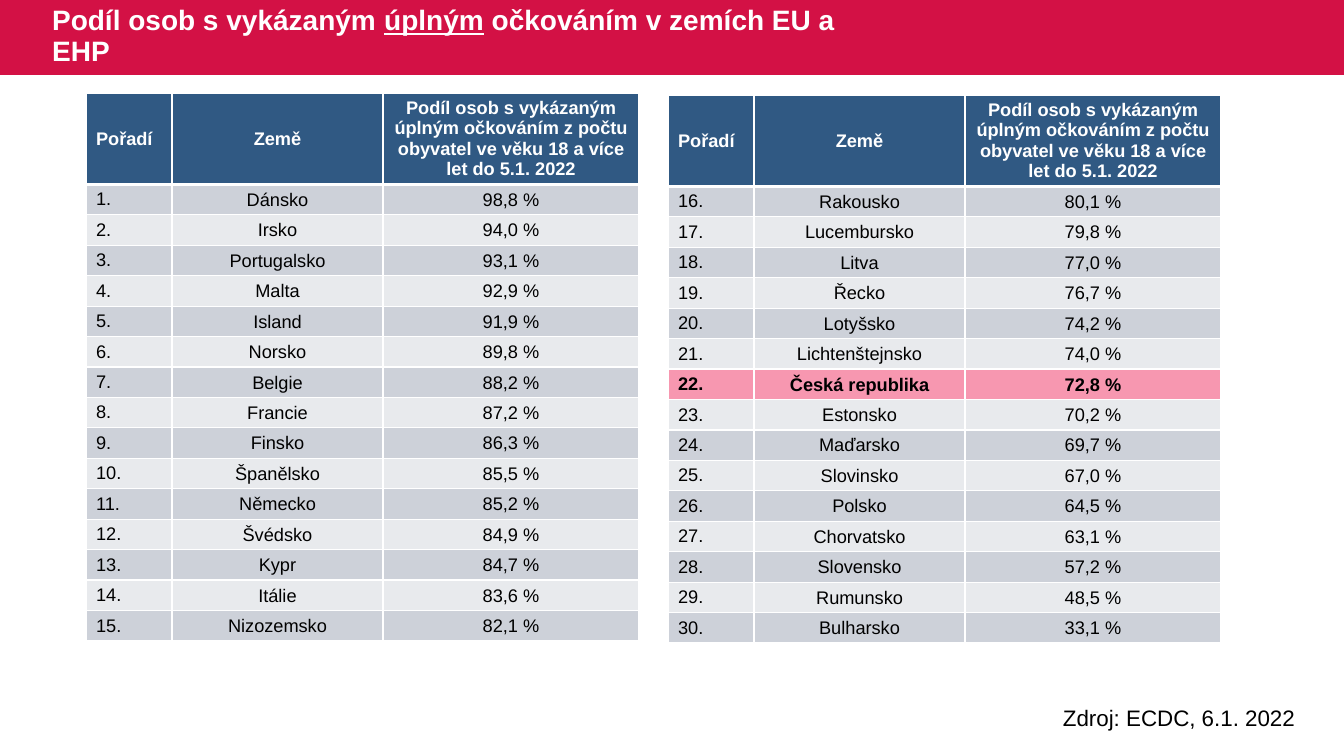
from lxml import etree
from pptx import Presentation
from pptx.dml.color import RGBColor
from pptx.enum.shapes import MSO_SHAPE
from pptx.enum.text import MSO_ANCHOR, MSO_AUTO_SIZE, PP_ALIGN
from pptx.oxml.ns import qn
from pptx.util import Emu, Pt

LEFT, CENTER = PP_ALIGN.LEFT, PP_ALIGN.CENTER
MIDDLE = MSO_ANCHOR.MIDDLE
NO_AUTOSIZE = MSO_AUTO_SIZE.NONE
RECT = MSO_SHAPE.RECTANGLE

RED = RGBColor(0xD3, 0x11, 0x45)
NAVY = RGBColor(0x30, 0x59, 0x83)
BAND_DARK = RGBColor(0xCD, 0xD1, 0xD9)
BAND_LIGHT = RGBColor(0xE8, 0xEA, 0xED)
PINK = RGBColor(0xF7, 0x97, 0xB0)
WHITE = RGBColor(0xFF, 0xFF, 0xFF)
BLACK = RGBColor(0, 0, 0)

SLIDE_W, SLIDE_H = 1344, 756
COL_WIDTHS = (86, 211, 256)
HEADER_H, ROW_H = 91, 30
HIGHLIGHTED = "Česká republika"

HEADERS = (
    "Pořadí",
    "Země",
    "Podíl osob s vykázaným úplným očkováním z počtu obyvatel "
    "ve věku 18 a více let do 5.1. 2022",
)
COUNTRIES = [
    ("Dánsko", "98,8 %"), ("Irsko", "94,0 %"), ("Portugalsko", "93,1 %"),
    ("Malta", "92,9 %"), ("Island", "91,9 %"), ("Norsko", "89,8 %"),
    ("Belgie", "88,2 %"), ("Francie", "87,2 %"), ("Finsko", "86,3 %"),
    ("Španělsko", "85,5 %"), ("Německo", "85,2 %"), ("Švédsko", "84,9 %"),
    ("Kypr", "84,7 %"), ("Itálie", "83,6 %"), ("Nizozemsko", "82,1 %"),
    ("Rakousko", "80,1 %"), ("Lucembursko", "79,8 %"), ("Litva", "77,0 %"),
    ("Řecko", "76,7 %"), ("Lotyšsko", "74,2 %"), ("Lichtenštejnsko", "74,0 %"),
    ("Česká republika", "72,8 %"), ("Estonsko", "70,2 %"), ("Maďarsko", "69,7 %"),
    ("Slovinsko", "67,0 %"), ("Polsko", "64,5 %"), ("Chorvatsko", "63,1 %"),
    ("Slovensko", "57,2 %"), ("Rumunsko", "48,5 %"), ("Bulharsko", "33,1 %"),
]
PER_TABLE = 15


def px(n):
    return Emu(round(n * 12192000 / SLIDE_W))


def place(shape, x, y, w, h):
    shape.left, shape.top, shape.width, shape.height = map(px, (x, y, w, h))


def add_run(p, text, size=13, color=BLACK, bold=False, underline=False):
    r = p.add_run()
    r.text = text
    r.font.name = "Arial"
    r.font.size = Pt(size)
    r.font.color.rgb = color
    r.font.bold = bold
    r.font.underline = underline


def set_borders(cell, top=1, bottom=1):
    tcPr = cell._tc.get_or_add_tcPr()
    for side, width in (("L", 1), ("R", 1), ("T", top), ("B", bottom)):
        ln = etree.SubElement(tcPr, qn(f"a:ln{side}"), w=str(Pt(width)))
        fill = etree.SubElement(ln, qn("a:solidFill"))
        etree.SubElement(fill, qn("a:srgbClr"), val=str(WHITE))


def fill_cell(cell, text, fill, align, tight=False, top=1, bottom=1, **fmt):
    set_borders(cell, top, bottom)
    cell.fill.solid()
    cell.fill.fore_color.rgb = fill
    cell.vertical_anchor = MIDDLE
    if tight:
        cell.margin_left = cell.margin_right = cell.margin_top = px(1)
        cell.margin_bottom = 0
    p = cell.text_frame.paragraphs[0]
    p.alignment = align
    add_run(p, text, **fmt)


def add_ranking(s, x, y, first_rank, countries):
    height = HEADER_H + ROW_H * len(countries)
    frame = s.shapes.add_table(len(countries) + 1, len(HEADERS), px(x), px(y),
                               px(sum(COL_WIDTHS)), px(height))
    table = frame.table
    table.horz_banding = False
    for column, width in zip(table.columns, COL_WIDTHS):
        column.width = px(width)
    for i, row in enumerate(table.rows):
        row.height = px(ROW_H if i else HEADER_H)

    for c, header in enumerate(HEADERS):
        fill_cell(table.cell(0, c), header, NAVY, CENTER if c else LEFT,
                  bottom=3, color=WHITE, bold=True)
    for i, (country, share) in enumerate(countries, start=1):
        marked = country == HIGHLIGHTED
        fill = PINK if marked else BAND_DARK if i % 2 else BAND_LIGHT
        for c, text in enumerate((f"{first_rank + i - 1}.", country, share)):
            fill_cell(table.cell(i, c), text, fill, CENTER if c else LEFT,
                      tight=c > 0, top=3 if i == 1 else 1, bold=marked)


def add_title(s):
    title = s.shapes.title
    place(title, 42, 0, 823, 74)
    tf = title.text_frame
    tf.word_wrap = True
    tf.auto_size = NO_AUTOSIZE
    tf.vertical_anchor = MIDDLE
    p = tf.paragraphs[0]
    p.alignment = LEFT
    p.line_spacing = 0.9
    for text, underline in (("Podíl osob s vykázaným ", False), ("úplným", True),
                            (" očkováním v zemích EU a EHP", False)):
        add_run(p, text, size=20, color=WHITE, bold=True, underline=underline)


def add_band(s):
    band = s.shapes.add_shape(RECT, 0, 0, px(SLIDE_W), px(75))
    band.shadow.inherit = False
    band.fill.solid()
    band.fill.fore_color.rgb = RED
    band.line.fill.background()
    # Send the band behind the title
    s.shapes.title.element.addprevious(band.element)


def add_source(s):
    box = s.shapes.add_textbox(px(1053), px(699), px(291), px(37))
    tf = box.text_frame
    tf.word_wrap = True
    add_run(tf.paragraphs[0], "Zdroj: ECDC, 6.1. 2022", size=16)


def main():
    prs = Presentation()
    prs.slide_width, prs.slide_height = px(SLIDE_W), px(SLIDE_H)
    s = prs.slides.add_slide(prs.slide_layouts[5])

    # Heading
    add_band(s)
    add_title(s)

    # Ranking in two halves
    add_ranking(s, 86, 93, 1, COUNTRIES[:PER_TABLE])
    add_ranking(s, 668, 95, PER_TABLE + 1, COUNTRIES[PER_TABLE:])

    # Data source
    add_source(s)
    prs.save("out.pptx")


if __name__ == "__main__":
    main()
